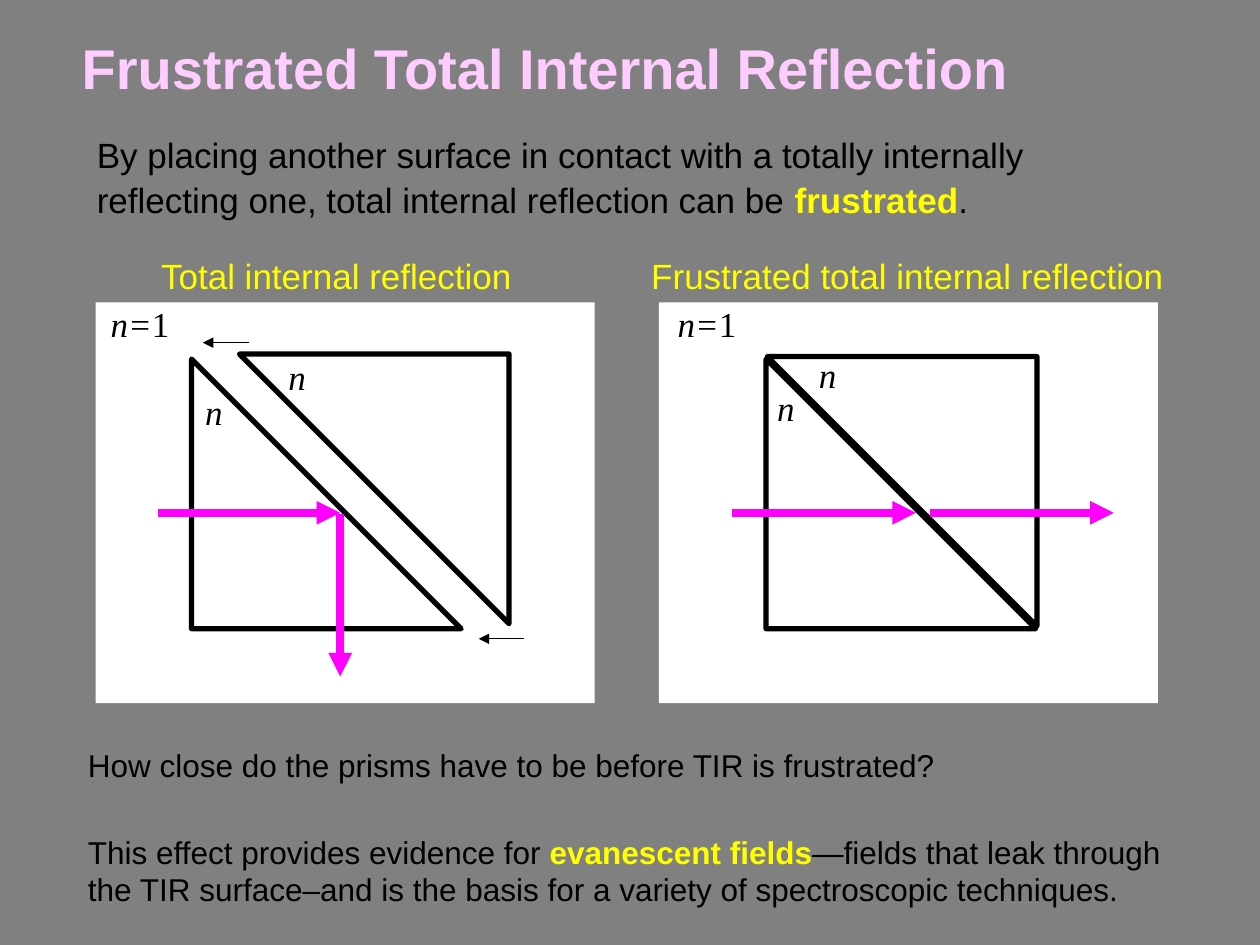
from lxml.etree import SubElement
from pptx import Presentation
from pptx.dml.color import RGBColor
from pptx.enum.shapes import MSO_CONNECTOR as Connector, MSO_SHAPE as Shape
from pptx.enum.text import MSO_ANCHOR as Anchor
from pptx.oxml.ns import qn
from pptx.util import Inches, Pt

GRAY = RGBColor(0x80, 0x80, 0x80)
PINK = RGBColor(0xFF, 0xCC, 0xFF)
YELLOW = RGBColor(0xFF, 0xFF, 0x00)
MAGENTA = RGBColor(0xFF, 0x00, 0xFF)
BLACK = RGBColor(0x00, 0x00, 0x00)
WHITE = RGBColor(0xFF, 0xFF, 0xFF)

TITLE = [[("Frustrated Total Internal Reflection", {"bold": True})]]
INTRO = [
    [("By placing another surface in contact with a totally internally", {})],
    [
        ("reflecting one, total internal reflection can be ", {}),
        ("frustrated", {"bold": True, "color": YELLOW}),
        (".", {}),
    ],
]
CLOSING = [
    [("How close do the prisms have to be before TIR is frustrated?", {})],
    [
        ("This effect provides evidence for ", {}),
        ("evanescent fields", {"bold": True, "color": YELLOW}),
        ("—fields that leak through the TIR surface–and is the basis for "
         "a variety of spectroscopic techniques.", {}),
    ],
]
INDEX = [[("n", {"italic": True})]]
AIR_INDEX = [[("n=", {"italic": True}), ("1", {})]]

PANEL_TOP, PANEL_WIDTH, PANEL_HEIGHT = 2.4, 3.96, 3.18
PRISM = 2.14
PANELS = [
    {
        "left": 0.76,
        "heading": ("Total internal reflection", 1.18, 3.01),
        "air": 0.78,
        "lower_prism": (1.52, 2.85),
        "upper_prism": (1.9, 2.81),
        "indices": [(1.53, 3.05), (2.19, 2.77)],
        "rays": [(1.25, 4.07, 2.7, 4.07), (2.7, 4.08, 2.7, 5.37)],
        "motions": [(4.16, 5.07, 3.8, 5.07), (1.98, 2.72, 1.61, 2.72)],
    },
    {
        "left": 5.23,
        "heading": ("Frustrated total internal reflection", 5.07, 4.32),
        "air": 5.28,
        "lower_prism": (6.08, 2.85),
        "upper_prism": (6.09, 2.83),
        "indices": [(6.07, 3.02), (6.4, 2.76)],
        "rays": [(5.81, 4.07, 7.27, 4.07), (7.38, 4.07, 8.84, 4.07)],
        "motions": [],
    },
]


def add_text(page, paragraphs, left, top, width, height, size=20, font="Arial",
             color=BLACK, wrap=True, anchor=Anchor.TOP, spacing=None, gap=0):
    box = page.shapes.add_textbox(
        Inches(left), Inches(top), Inches(width), Inches(height))
    frame = box.text_frame
    frame.word_wrap = wrap
    frame.vertical_anchor = anchor
    for number, spans in enumerate(paragraphs):
        para = frame.add_paragraph() if number else frame.paragraphs[0]
        para.line_spacing = spacing
        if number:
            para.space_before = Pt(gap)
        for text, style in spans:
            span = para.add_run()
            span.text = text
            span.font.name = font
            span.font.size = Pt(size)
            span.font.bold = style.get("bold", False)
            span.font.italic = style.get("italic", False)
            span.font.color.rgb = style.get("color", color)


def add_block(page, kind, left, top, width, height, outline=None, rotation=0):
    block = page.shapes.add_shape(
        kind, Inches(left), Inches(top), Inches(width), Inches(height))
    block.shadow.inherit = False
    block.rotation = rotation
    block.fill.solid()
    block.fill.fore_color.rgb = WHITE
    if outline:
        block.line.color.rgb = BLACK
        block.line.width = Pt(outline)
    else:
        block.line.fill.background()


def add_arrow(page, ends, color, weight):
    arrow = page.shapes.add_connector(
        Connector.STRAIGHT, *[Inches(value) for value in ends])
    arrow.line.color.rgb = color
    arrow.line.width = Pt(weight)
    SubElement(arrow.line._get_or_add_ln(), qn("a:tailEnd"), type="triangle")
    SubElement(arrow._element.spPr, qn("a:effectLst"))


def add_panel(page, panel):
    add_block(page, Shape.RECTANGLE, panel["left"], PANEL_TOP,
              PANEL_WIDTH, PANEL_HEIGHT)
    for name, rotation in (("lower_prism", 0), ("upper_prism", 180)):
        add_block(page, Shape.RIGHT_TRIANGLE, *panel[name], PRISM, PRISM,
                  outline=3, rotation=rotation)
    for ends in panel["rays"]:
        add_arrow(page, ends, MAGENTA, 4.5)
    for ends in panel["motions"]:
        add_arrow(page, ends, BLACK, 0.75)
    for left, top in panel["indices"]:
        add_text(page, INDEX, left, top, 0.34, 0.43,
                 font="Times New Roman", wrap=False)
    add_text(page, AIR_INDEX, panel["air"], 2.35, 0.67, 0.43,
             font="Times New Roman", wrap=False)
    heading, left, width = panel["heading"]
    add_text(page, [[(heading, {})]], left, 1.97, width, 0.43,
             color=YELLOW, wrap=False)


def main():
    deck = Presentation()
    deck.slide_width, deck.slide_height = Inches(10), Inches(7.5)
    page = deck.slides.add_slide(deck.slide_layouts[6])
    page.background.fill.solid()
    page.background.fill.fore_color.rgb = GRAY
    add_text(page, TITLE, 0.55, 0.28, 8.5, 0.5, size=32, color=PINK,
             anchor=Anchor.MIDDLE)
    add_text(page, INTRO, 0.67, 1.05, 8.5, 0.92, spacing=0.9, gap=4)
    add_text(page, CLOSING, 0.6, 5.87, 8.77, 1.42, size=18, gap=28)
    for panel in PANELS:
        add_panel(page, panel)
    deck.save("out.pptx")


if __name__ == "__main__":
    main()
